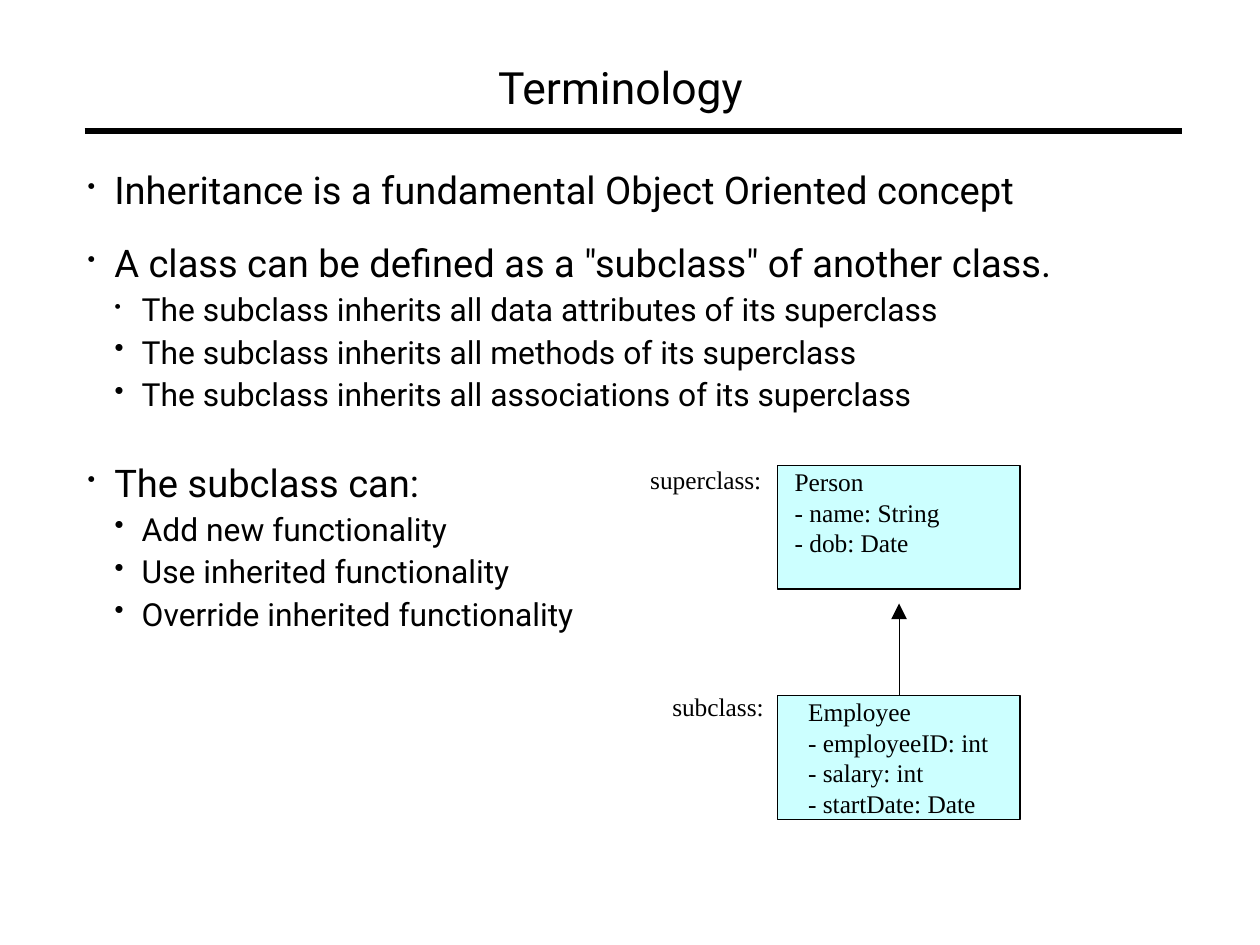
"""Build the Terminology slide about inheritance."""
from lxml import etree
from pptx import Presentation
from pptx.dml.color import RGBColor
from pptx.enum import shapes, text
from pptx.oxml import ns
from pptx.util import Cm, Pt

COLOURS = {"ink": "000000", "class": "CCFFFF"}
INK = RGBColor.from_string(COLOURS["ink"])
FRAME = {"word_wrap": True, "auto_size": text.MSO_AUTO_SIZE.NONE,
         "vertical_anchor": text.MSO_ANCHOR.TOP,
         "margin_left": 0, "margin_top": 0, "margin_right": 0, "margin_bottom": 0}


def write_lines(frame, lines, font_name, **margins):
    """Fill a frame with (text, size, space before) lines and return the paragraphs."""
    for name, value in {**FRAME, **margins}.items():
        setattr(frame, name, value)
    for index, (words, size, space) in enumerate(lines):
        paragraph = frame.add_paragraph() if index else frame.paragraphs[0]
        paragraph.text = words
        paragraph.font.color.rgb = INK
        for name, value in {"name": font_name, "size": Pt(size)}.items():
            setattr(paragraph.font, name, value)
        for name, value in {"alignment": text.PP_ALIGN.LEFT, "space_before": Pt(space)}.items():
            setattr(paragraph, name, value)
    return frame.paragraphs


def add_line(start, end, width):
    """Draw a straight ink line without a shadow and return its line element."""
    line = slide.shapes.add_connector(shapes.MSO_CONNECTOR.STRAIGHT,
                                      *[Cm(value) for value in start + end])
    line.line.color.rgb = INK
    line.line.width = Pt(width)
    properties = line._element.spPr
    etree.SubElement(properties, ns.qn("a:effectLst"))
    return properties.find(ns.qn("a:ln"))


presentation = Presentation()
presentation.slide_width, presentation.slide_height = Cm(28), Cm(21)
slide = presentation.slides.add_slide(presentation.slide_layouts[5])

title = slide.shapes.title
for name, value in {"left": 11.07, "top": 1.34, "width": 5.92, "height": 1.14}.items():
    setattr(title, name, Cm(value))
write_lines(title.text_frame, [("Terminology", 28, 0)], "Roboto")
add_line((1.88, 2.91), (26.26, 2.91), 4.31)

points = [
    (0, "Inheritance is a fundamental Object Oriented concept", 2.8, 59),
    (0, "A class can be defined as a \"subclass\" of another class.", 17.3, 59),
    (1, "The subclass inherits all data attributes of its superclass", 2.8, 59),
    (1, "The subclass inherits all methods of its superclass", 2.8, 85),
    (1, "The subclass inherits all associations of its superclass", 2.8, 85),
    (0, "The subclass can:", 29, 59),
    (1, "Add new functionality", 2.8, 85),
    (1, "Use inherited functionality", 2.8, 85),
    (1, "Override inherited functionality", 2.8, 85),
]
body = slide.shapes.add_textbox(Cm(1.95), Cm(3.7), Cm(23.8), Cm(10.36))
lines = [(words, 20 if level else 24, space) for level, words, space, _ in points]
paragraphs = write_lines(body.text_frame, lines, "Roboto")
for paragraph, (level, _, _, bullet_size) in zip(paragraphs, points):
    paragraph.level = level
    properties = paragraph._p.get_or_add_pPr()
    properties.set("marL", str(Cm(1.2 if level else 0.59)))
    properties.set("indent", str(Cm(-0.6)))
    bullet_format = [("a:buSzPct", "val", str(bullet_size * 1000)), ("a:buChar", "char", "•")]
    for position, (tag, name, value) in enumerate(bullet_format):
        bullet = etree.Element(ns.qn(tag), {name: value})
        properties.insert(1 + position, bullet)

arrow = add_line((19.98, 15.46), (19.98, 13.41), 0.75)
etree.SubElement(arrow, ns.qn("a:tailEnd"), type="triangle", w="lg", len="lg")

classes = [
    ("superclass:", 14.45, 10.32, 10.34, 0.39, ["Person", "- name: String", "- dob: Date"]),
    ("subclass:", 14.94, 15.36, 15.46, 0.69,
     ["Employee", "- employeeID: int", "- salary: int", "- startDate: Date"]),
]
for role, role_left, role_top, top, inset, members in classes:
    box = slide.shapes.add_shape(shapes.MSO_SHAPE.RECTANGLE, Cm(17.27), Cm(top), Cm(5.4), Cm(2.75))
    box.shadow.inherit = False
    box.fill.solid()
    box.fill.fore_color.rgb = RGBColor.from_string(COLOURS["class"])
    box.line.color.rgb = INK
    box.line.width = Pt(0.75)
    write_lines(box.text_frame, [(member, 16, 0) for member in members],
                "Times New Roman", margin_left=Cm(inset), margin_top=Cm(0.02))
    label = slide.shapes.add_textbox(Cm(role_left), Cm(role_top), Cm(2.5), Cm(0.68))
    write_lines(label.text_frame, [(role, 16, 0)], "Times New Roman", word_wrap=False)

presentation.save("out.pptx")
